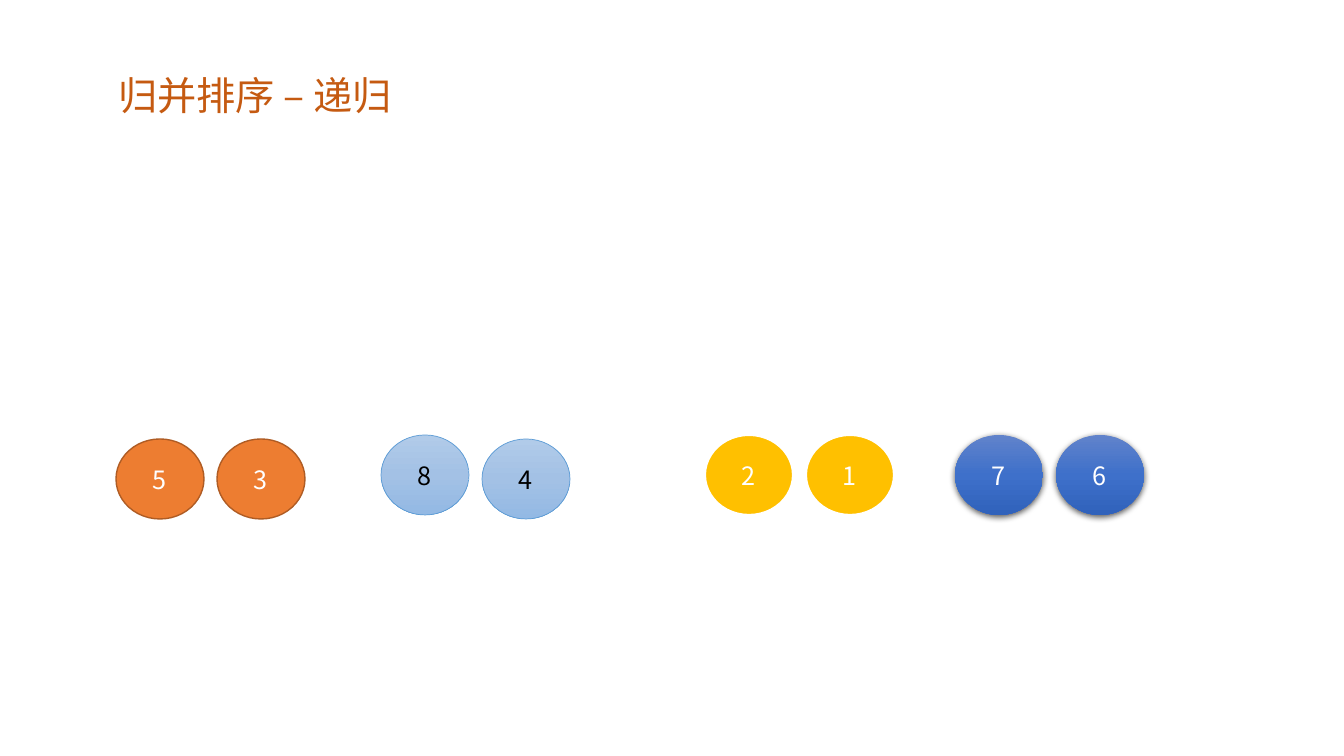
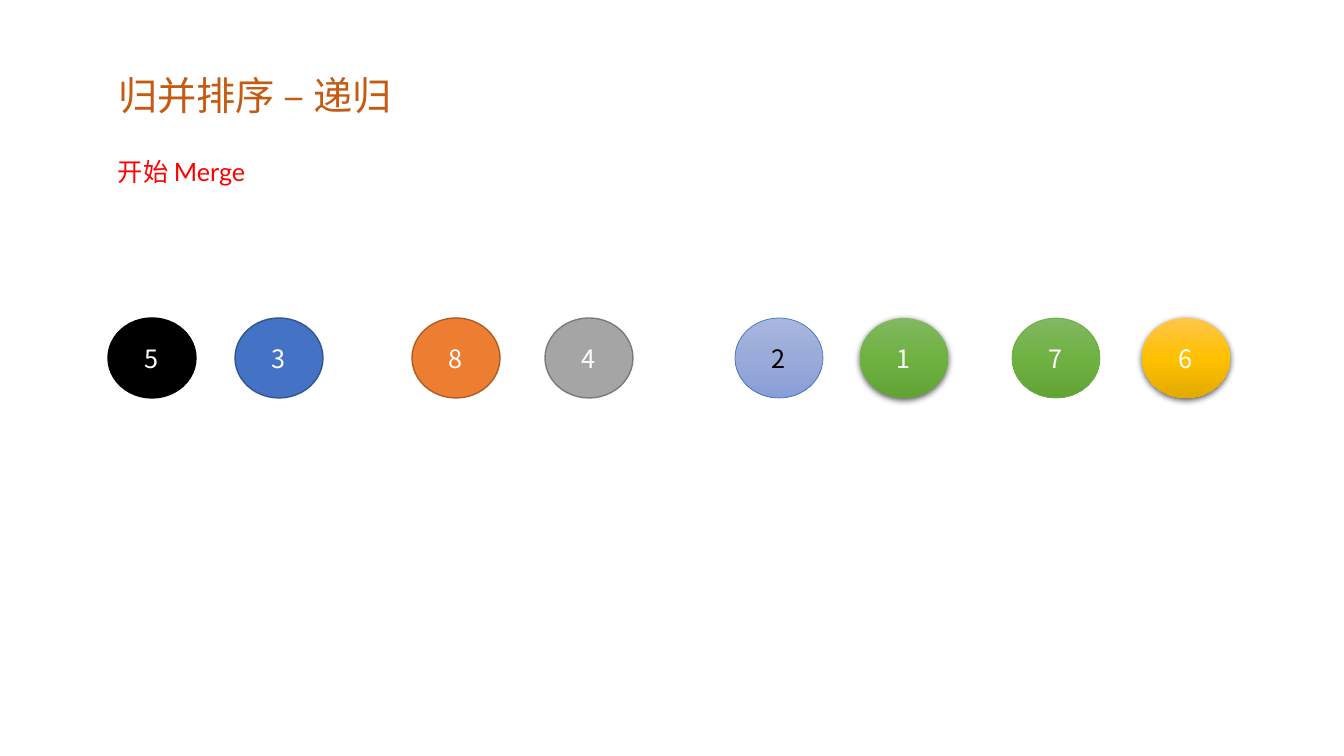
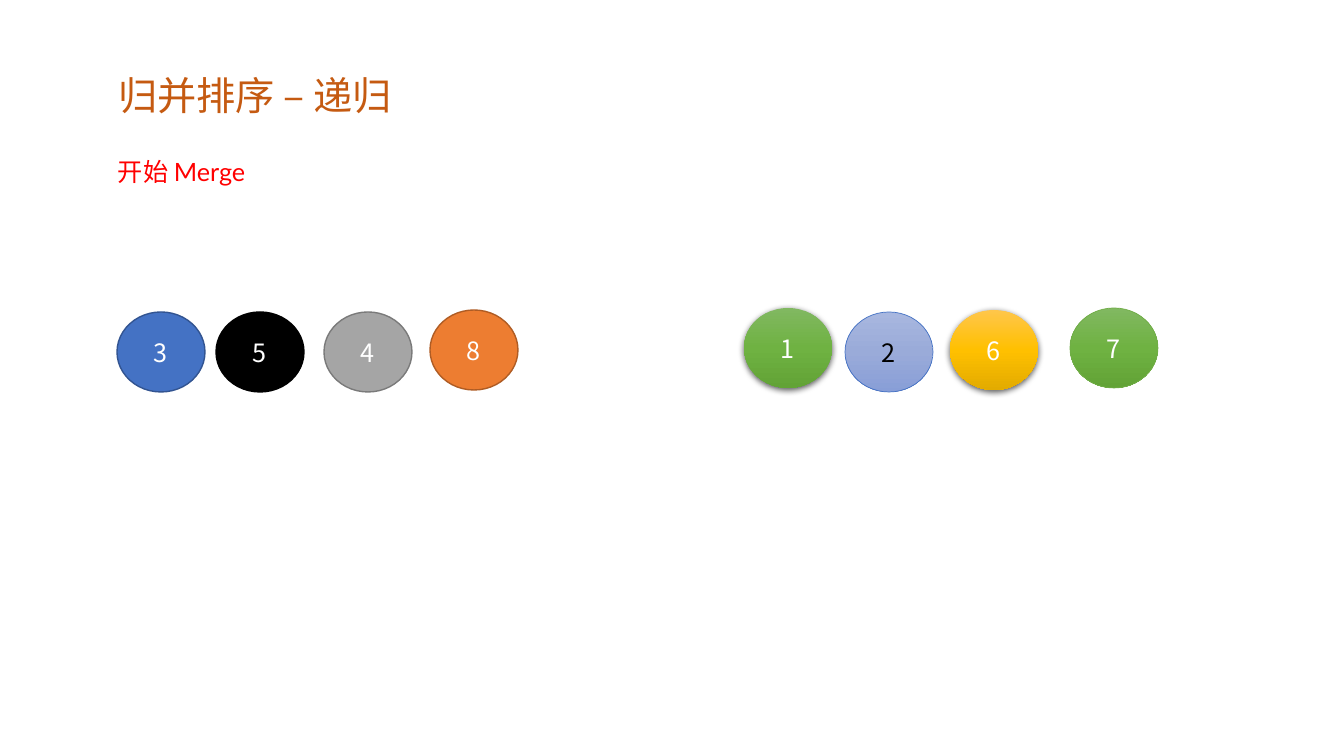
from copy import deepcopy
from dataclasses import dataclass

from lxml import etree
from pptx import Presentation
from pptx.dml.color import RGBColor as RGB
from pptx.enum.shapes import MSO_SHAPE as Preset
from pptx.enum.text import MSO_ANCHOR as Anchor, MSO_AUTO_SIZE as AutoSize, PP_ALIGN as Align
from pptx.oxml.ns import qn
from pptx.util import Pt

EMU_PER_PX = 914400 / 100.8


def px(length):
    return round(length * EMU_PER_PX)


@dataclass(frozen=True)
class Ball:
    """Look of one ball: one fill colour, or three from top to bottom."""
    fill: tuple
    line: str = ""
    line_width: float = 1
    text: str = "FFFFFF"
    shadow: bool = False


class Theme:
    title_color, note_color = "C55A11", "FF0000"
    title_size, body_size = 28, 18
    latin, cjk = "Lato", "Noto Sans CJK SC"

    # Flat balls
    black = Ball(("000000",), "000000")
    blue = Ball(("4472C4",), "325491")
    orange = Ball(("ED7D31",), "AF5C24")
    gray = Ball(("A5A5A5",), "7A7A7A")
    gold = Ball(("FFC000",), "FFFFFF", 1.5)

    # Shaded balls
    sky = Ball(("B1CBE9", "A3C1E5", "93B9E4"), "5B9BD5", 0.5, "000000")
    lavender = Ball(("A8B7DF", "9AABD9", "889ED7"), "4472C4", 0.5, "000000")
    green = Ball(("81B861", "6FB242", "62A336"), "70AD47", 0.5)

    # Raised balls
    royal = Ball(("6183CB", "3E70CA", "3062BB"), shadow=True)
    raised_green = Ball(("81B861", "6FB242", "62A336"), shadow=True)
    raised_gold = Ball(("FFC64B", "FFC000", "E3AB00"), shadow=True)


class Deck:
    BALL_WIDTH, BALL_HEIGHT = 88, 80

    def __init__(self, theme):
        self.theme = theme
        self.prs = Presentation()
        self.prs.slide_width, self.prs.slide_height = px(1344), px(756)
        self.slide = None

    def add_slide(self, title):
        self.slide = self.prs.slides.add_slide(self.prs.slide_layouts[5])
        heading = self.slide.shapes.title
        heading.left, heading.top, heading.width, heading.height = map(px, (108, 66, 318, 57))
        self.label(heading, title, self.theme.title_size, self.theme.title_color)

    def note(self, text):
        box = self.slide.shapes.add_textbox(*map(px, (108, 151, 166, 40)))
        self.label(box, text, self.theme.body_size, self.theme.note_color)

    def label(self, box, text, size, color):
        frame = box.text_frame
        frame.text = text
        frame.word_wrap = False
        frame.auto_size = AutoSize.SHAPE_TO_FIT_TEXT
        frame.vertical_anchor = Anchor.TOP
        self.format(frame.paragraphs[0], Align.LEFT, size, color, self.theme.latin)

    def format(self, paragraph, align, size, color, latin):
        paragraph.alignment = align
        paragraph.line_spacing = 1.0
        for run in paragraph.runs:
            run.font.size = Pt(size)
            run.font.color.rgb = RGB.from_string(color)
            run.font.name = latin
            latin_tag = run._r.get_or_add_rPr().find(qn("a:latin"))
            east_asian = etree.Element(qn("a:ea"), typeface=self.theme.cjk)
            latin_tag.addnext(east_asian)

    def ball(self, number, left, top, look):
        ball = self.slide.shapes.add_shape(
            Preset.OVAL, px(left), px(top), px(self.BALL_WIDTH), px(self.BALL_HEIGHT))
        self.paint(ball.fill, look.fill)
        if look.line:
            ball.line.color.rgb = RGB.from_string(look.line)
            ball.line.width = Pt(look.line_width)
        else:
            ball.line.fill.background()
        ball.shadow.inherit = False
        if look.shadow:
            self.drop_shadow(ball)
        frame = ball.text_frame
        frame.text = str(number)
        frame.vertical_anchor = Anchor.MIDDLE
        self.format(frame.paragraphs[0], Align.CENTER, self.theme.body_size,
                    look.text, self.theme.cjk)

    def paint(self, fill, colors):
        if len(colors) == 1:
            fill.solid()
            fill.fore_color.rgb = RGB.from_string(colors[0])
            return
        fill.gradient()
        fill.gradient_angle = 270
        first = fill.gradient_stops[0]._gs
        first.addnext(deepcopy(first))
        for stop, position, color in zip(fill.gradient_stops, (0, 0.5, 1), colors):
            stop.position = position
            stop.color.rgb = RGB.from_string(color)

    def drop_shadow(self, shape):
        effects = shape._element.spPr.find(qn("a:effectLst"))
        shadow = etree.SubElement(
            effects, qn("a:outerShdw"), blurRad=str(Pt(4.5)), dist=str(Pt(1.5)),
            dir="5400000", algn="ctr", rotWithShape="0")
        black = etree.SubElement(shadow, qn("a:srgbClr"), val="000000")
        etree.SubElement(black, qn("a:alpha"), val="63000")


def main():
    theme = Theme()
    deck = Deck(theme)
    title, merge_note = "归并排序 – 递归", "开始 Merge"

    # Split into pairs: numbers, left edge, tops, look
    deck.add_slide(title)
    pair_pitch = 101
    for numbers, left, tops, look in (
            ((5, 3), 116, (439, 439), theme.orange),
            ((8, 4), 381, (435, 439), theme.sky),
            ((2, 1), 705, (435, 435), theme.gold),
            ((7, 6), 955, (435, 435), theme.royal)):
        for i, (number, top) in enumerate(zip(numbers, tops)):
            deck.ball(number, left + i * pair_pitch, top, look)

    # Each number keeps its look while merging
    looks = {5: theme.black, 3: theme.blue, 8: theme.orange, 4: theme.gray,
             2: theme.lavender, 1: theme.raised_green, 7: theme.green, 6: theme.raised_gold}
    singles = [(number, left, 318) for number, left in zip(
        looks, (108, 235, 412, 545, 735, 860, 1012, 1142))]
    sorted_halves = [
        (3, 117, 312), (5, 216, 312), (4, 324, 312), (8, 430, 310),
        (1, 744, 308), (2, 845, 312), (6, 950, 310), (7, 1070, 308)]
    for balls in (singles, sorted_halves):
        deck.add_slide(title)
        deck.note(merge_note)
        for number, left, top in balls:
            deck.ball(number, left, top, looks[number])

    deck.prs.save("out.pptx")


if __name__ == "__main__":
    main()
